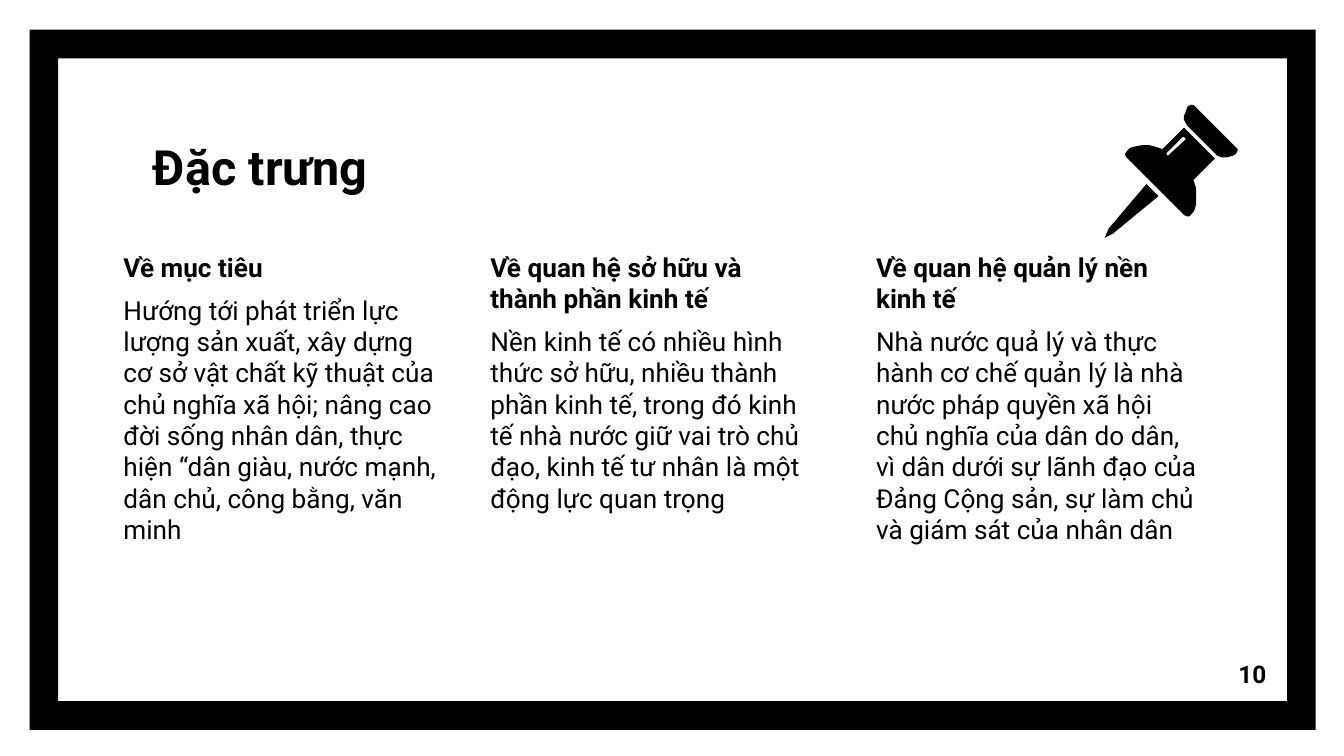
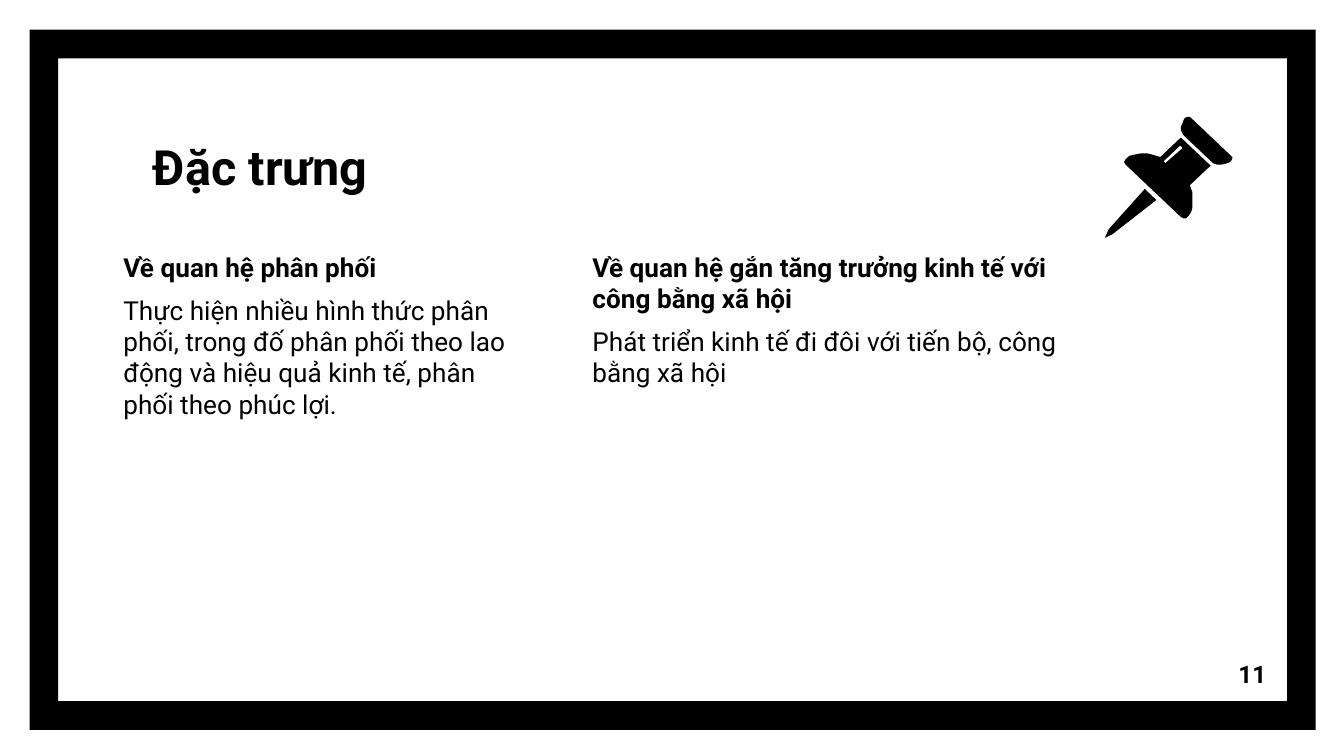
from pptx import Presentation
from pptx.dml.color import RGBColor
from pptx.enum.shapes import MSO_SHAPE
from pptx.enum.text import MSO_ANCHOR, PP_ALIGN
from pptx.util import Inches, Pt

BLACK = RGBColor(0x00, 0x00, 0x00)
WHITE = RGBColor(0xFF, 0xFF, 0xFF)
FONT = "Roboto"
FRAME = MSO_SHAPE.FRAME
TOP, MIDDLE, BOTTOM = MSO_ANCHOR.TOP, MSO_ANCHOR.MIDDLE, MSO_ANCHOR.BOTTOM
LEFT, RIGHT = PP_ALIGN.LEFT, PP_ALIGN.RIGHT

PIN_TIP = (8.22, 1.77)
NEEDLE = [(31, -40), (3, -7), (0, 0), (6, -3), (40, -31)]
CAP = [(64, -99), (62, -98), (61, -96), (60, -93), (59, -91), (59, -88), (60, -86),
       (61, -84), (84, -61), (87, -60), (91, -60), (95, -61), (97, -62), (98, -63),
       (99, -65), (99, -66), (98, -67), (67, -98), (66, -99)]
SLIT = [(59, -75), (60, -74), (60, -73), (48, -62), (47, -61), (46, -62), (46, -63),
        (58, -75)]
BODY = [(59, -82), (43, -66), (40, -67), (37, -68), (33, -69), (28, -69), (23, -68),
        (19, -67), (16, -64), (15, -62), (16, -60), (59, -17), (61, -16), (63, -16),
        (65, -18), (67, -21), (68, -25), (68, -37), (67, -40), (66, -43), (82, -59)]
PIN_PARTS = [[NEEDLE], [CAP], [SLIT, BODY]]

SLIDES = [
    (10, (1, 1), [
        (0.82, 2.59, 2.51, "Về mục tiêu",
         "Hướng tới phát triển lực lượng sản xuất, xây dựng cơ sở vật chất kỹ thuật của "
         "chủ nghĩa xã hội; nâng cao đời sống nhân dân, thực hiện “dân giàu, nước mạnh, "
         "dân chủ, công bằng, văn minh"),
        (3.55, 2.59, 2.51, "Về quan hệ sở hữu và thành phần kinh tế",
         "Nền kinh tế có nhiều hình thức sở hữu, nhiều thành phần kinh tế, trong đó kinh "
         "tế nhà nước giữ vai trò chủ đạo, kinh tế tư nhân là một động lực quan trọng"),
        (6.42, 2.59, 2.8, "Về quan hệ quản lý nền kinh tế",
         "Nhà nước quả lý và thực hành cơ chế quản lý là nhà nước pháp quyền xã hội chủ "
         "nghĩa của dân do dân, vì dân dưới sự lãnh đạo của Đảng Cộng sản, sự làm chủ và "
         "giám sát của nhân dân"),
    ]),
    (11, (0.96, 0.91), [
        (0.82, 3.07, 2.51, "Về quan hệ phân phối",
         "Thực hiện nhiều hình thức phân phối, trong đố phân phối theo lao động và hiệu "
         "quả kinh tế, phân phối theo phúc lợi."),
        (4.31, 3.81, 2.51, "Về quan hệ gắn tăng trưởng kinh tế với công bằng xã hội",
         "Phát triển kinh tế đi đôi với tiến bộ, công bằng xã hội"),
    ]),
]


class Deck:
    """Black-framed slides with a title, text columns, a pushpin and a page number."""

    def __init__(self):
        self.prs = Presentation()
        self.prs.slide_width = Inches(10)
        self.prs.slide_height = Inches(10) * 9 // 16
        self.s = None

    def paint(self, sp):
        sp.shadow.inherit = False
        sp.fill.solid()
        sp.fill.fore_color.rgb = BLACK
        sp.line.fill.background()

    def new_slide(self, number):
        self.s = self.prs.slides.add_slide(self.prs.slide_layouts[6])
        self.s.background.fill.solid()
        self.s.background.fill.fore_color.rgb = WHITE
        sp = self.s.shapes.add_shape(FRAME, Inches(0.22), Inches(0.22),
                                     Inches(9.57), Inches(5.21))
        sp.adjustments[0] = 0.041
        self.paint(sp)
        self.text(1.04, 0.95, 2.13, 0.6, [("Đặc trưng", True)], 26, BOTTOM)
        self.text(8.92, 4.8, 0.6, 0.43, [(str(number), True)], 13, MIDDLE, RIGHT)

    def text(self, x, y, w, h, lines, size, anchor=TOP, align=LEFT, before=0):
        tf = self.s.shapes.add_textbox(Inches(x), Inches(y), Inches(w), Inches(h)).text_frame
        tf.word_wrap = True
        tf.vertical_anchor = anchor
        tf.margin_left = tf.margin_right = tf.margin_top = tf.margin_bottom = Inches(0.1)
        for i, (line, bold) in enumerate(lines):
            p = tf.add_paragraph() if i else tf.paragraphs[0]
            p.text = line
            p.alignment = align
            p.space_before = Pt(before)
            p.font.name, p.font.size, p.font.bold = FONT, Pt(size), bold
            p.font.color.rgb = BLACK

    def column(self, x, w, h, heading, body):
        self.text(x, 1.77, w, h, [(heading, True), (body, False)], 14, before=6)

    def pin(self, stretch):
        group = self.s.shapes.add_group_shape()
        scale = tuple(Inches(0.01) * k for k in stretch)
        for outlines in PIN_PARTS:
            fb = group.shapes.build_freeform(*outlines[0][0], scale=scale)
            for i, points in enumerate(outlines):
                if i:
                    fb.move_to(*points[0])
                fb.add_line_segments(points[1:], close=True)
            self.paint(fb.convert_to_shape(*map(Inches, PIN_TIP)))


deck = Deck()
for number, stretch, columns in SLIDES:
    deck.new_slide(number)
    for column in columns:
        deck.column(*column)
    deck.pin(stretch)
deck.prs.save("out.pptx")
